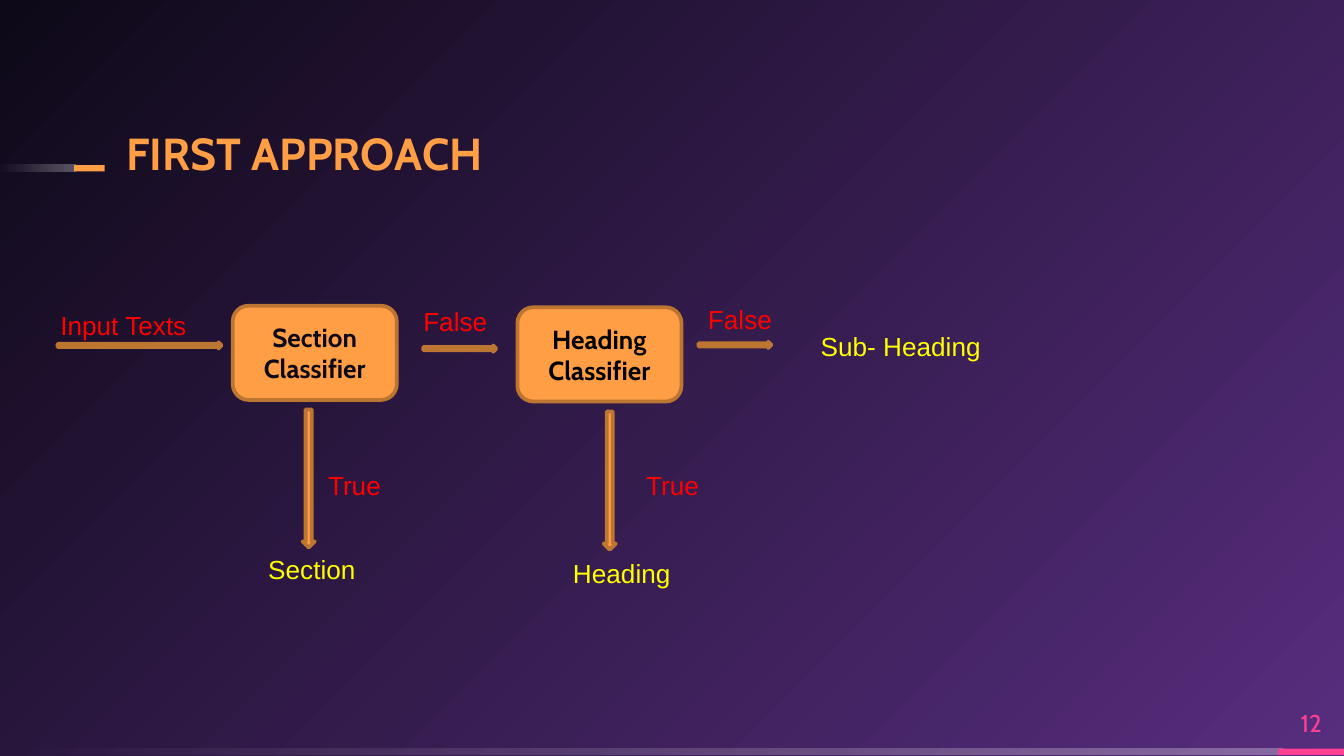
from dataclasses import dataclass

from lxml.etree import SubElement
from pptx import Presentation
from pptx.dml.color import RGBColor
from pptx.enum.shapes import MSO_SHAPE as Preset
from pptx.enum.text import MSO_ANCHOR as Anchor, MSO_AUTO_SIZE as AutoSize, PP_ALIGN as Align
from pptx.oxml.ns import qn
from pptx.util import Cm, Pt


@dataclass(frozen=True)
class Theme:
    orange: str = "FF9E44"
    brown: str = "BD7532"
    pink: str = "FF4093"
    red: str = "FF0000"
    yellow: str = "FFFF00"
    white: str = "FFFFFF"
    night: str = "0E0918"
    violet: str = "572D7E"
    black: str = "000000"
    heading_font: str = "Cabin"
    label_font: str = "Arial"
    title_size: int = 24
    label_size: int = 14
    number_size: int = 13


theme = Theme()


def write(box, text, *, color, font=theme.label_font, size=theme.label_size, bold=False,
          align=Align.LEFT, anchor=Anchor.TOP, inset=None, spacing=None):
    """Fill a shape with text, one paragraph per line."""
    frame = box.text_frame
    frame.word_wrap = True
    frame.auto_size = AutoSize.NONE
    frame.vertical_anchor = anchor
    if inset is not None:
        frame.margin_left = frame.margin_right = frame.margin_top = frame.margin_bottom = inset
    frame.text = text
    for para in frame.paragraphs:
        para.alignment = align
        para.line_spacing = spacing
        for span in para.runs:
            span.font.name = font
            span.font.size = Pt(size)
            span.font.bold = bold
            span.font.color.rgb = RGBColor.from_string(color)


def draw(preset, left, top, width, height, fill=None, line=None):
    """Add a preset shape; without a fill colour it fades from white to clear."""
    shape = page.shapes.add_shape(preset, Cm(left), Cm(top), Cm(width), Cm(height))
    shape.shadow.inherit = False
    if fill:
        shape.fill.solid()
        shape.fill.fore_color.rgb = RGBColor.from_string(fill)
    else:
        shape.fill.gradient()
        shape.fill.gradient_angle = 180
        for stop in shape.fill.gradient_stops:
            stop.color.rgb = RGBColor.from_string(theme.white)
        colors = shape._element.spPr.iter(qn("a:srgbClr"))
        for color, alpha in zip(colors, ("30000", "0")):
            SubElement(color, qn("a:alpha"), val=alpha)
    if line:
        shape.line.color.rgb = RGBColor.from_string(line)
        shape.line.width = Pt(2)
    else:
        shape.line.fill.background()
    return shape


deck = Presentation()
deck.slide_width, deck.slide_height = Cm(25.4), Cm(14.29)
page = deck.slides.add_slide(deck.slide_layouts[5])

# Background: glow from the bottom right corner
backdrop = page.background.fill
backdrop.gradient()
for stop, color in zip(backdrop.gradient_stops, (theme.violet, theme.night)):
    stop.color.rgb = RGBColor.from_string(color)
gradient = page._element.find(".//" + qn("a:gradFill"))
gradient.remove(gradient.find(qn("a:lin")))
glow = SubElement(gradient, qn("a:path"), path="circle")
SubElement(glow, qn("a:fillToRect"), l="100000", t="100000")

# Footer and title accents
for left, top, width, fill in (
    (0, 14.15, 24.23, None),
    (24.16, 14.15, 1.24, theme.pink),
    (0, 3.12, 1.42, None),
    (1.4, 3.12, 0.58, theme.orange),
):
    draw(Preset.RECTANGLE, left, top, width, 0.12, fill)

# Title
title = page.shapes.title
title.left, title.top, title.width, title.height = Cm(2.39), Cm(2.31), Cm(14.73), Cm(1.09)
write(title, "FIRST APPROACH", color=theme.orange, font=theme.heading_font,
      size=theme.title_size, bold=True, anchor=Anchor.BOTTOM, inset=0, spacing=0.9)

# Page number
number = page.shapes.add_textbox(Cm(24.16), Cm(13.18), Cm(1.24), Cm(0.97))
write(number, "12", color=theme.pink, font=theme.heading_font, size=theme.number_size,
      align=Align.CENTER, anchor=Anchor.MIDDLE, inset=0)

# Classifiers
for name, left, top, color in (
    ("Section", 4.4, 5.78, theme.night),
    ("Heading", 9.78, 5.81, theme.black),
):
    classifier = draw(Preset.ROUNDED_RECTANGLE, left, top, 3.1, 1.78, theme.orange, theme.brown)
    write(classifier, f"{name}\nClassifier", color=color, font=theme.heading_font, bold=True,
          align=Align.CENTER, anchor=Anchor.MIDDLE, inset=0)

# Arrows
for preset, left, top, width, height in (
    (Preset.RIGHT_ARROW, 1.09, 6.47, 3.1, 0.12),
    (Preset.RIGHT_ARROW, 8.0, 6.53, 1.38, 0.12),
    (Preset.RIGHT_ARROW, 13.2, 6.46, 1.38, 0.12),
    (Preset.DOWN_ARROW, 5.72, 7.74, 0.23, 2.61),
    (Preset.DOWN_ARROW, 11.41, 7.78, 0.23, 2.61),
):
    draw(preset, left, top, width, height, theme.orange, theme.brown)

# Branch labels in red, results in yellow
for text, left, top, color in (
    ("Input Texts", 0.89, 5.72, theme.red),
    ("False", 7.75, 5.64, theme.red),
    ("False", 13.13, 5.61, theme.red),
    ("True", 5.95, 8.74, theme.red),
    ("True", 11.96, 8.74, theme.red),
    ("Section", 4.82, 10.34, theme.yellow),
    ("Heading", 10.58, 10.41, theme.yellow),
    ("Sub- Heading", 15.26, 6.13, theme.yellow),
):
    label = page.shapes.add_textbox(Cm(left), Cm(top), Cm(3.6), Cm(0.86))
    write(label, text, color=color)

deck.save("out.pptx")
